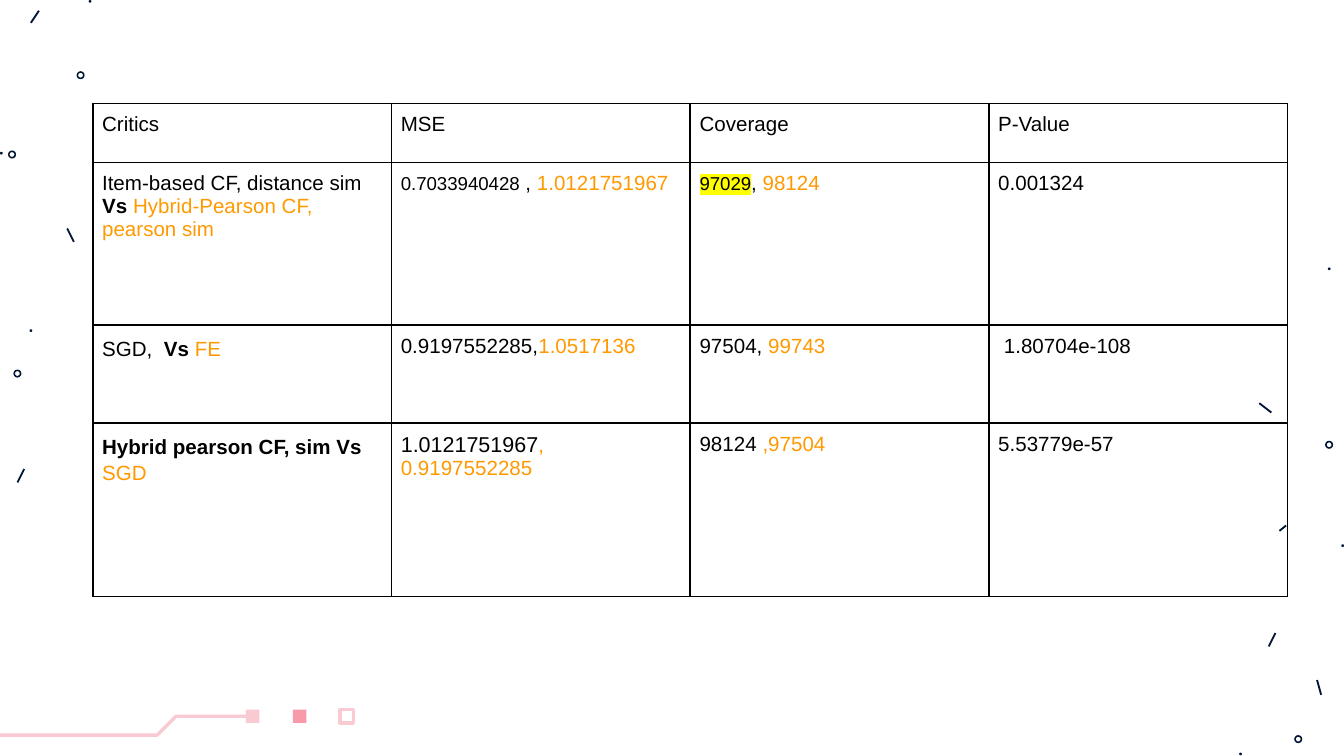
from lxml.etree import SubElement
from pptx import Presentation
from pptx.dml.color import RGBColor
from pptx.enum.shapes import MSO_CONNECTOR, MSO_SHAPE
from pptx.oxml.ns import qn
from pptx.util import Inches, Pt

COLORS = {
    "navy": "011635",
    "blush": "F9CAD2",
    "rose": "F99AAA",
    "black": "000000",
    "orange": "FF9900",
    "yellow": "FFFF00",
    "white": "FFFFFF",
}
FONT = "Arial"
DOT_SIZE = 0.02
RING_SIZE = 0.06

LEFT_MARKS = {
    "strokes": [(0.29, 0.08, 0.23, 0.17), (0.5, 1.7, 0.55, 1.8), (0.18, 3.49, 0.13, 3.59)],
    "rings": [(0.57, 0.53), (0.1, 2.75), (0.06, 1.12)],
    "dots": [(0.22, 2.45), (0.66, 0), (0, 1.13)],
}
RIGHT_MARKS = {
    "strokes": [
        (0.17, 1.01, 0.26, 1.08),
        (0.6, 3.07, 0.63, 3.18),
        (0.29, 2.72, 0.24, 2.82),
        (0.37, 1.92, 0.32, 1.96),
    ],
    "rings": [(0.66, 1.29), (0.43, 3.48)],
    "dots": [(0.78, 2.06), (0.02, 3.61), (0.68, 0)],
}

BOLD = {"bold": True}
ORANGE = {"color": "orange"}
ROWS = [
    [[("Critics", {})], [("MSE", {})], [("Coverage", {})], [("P-Value", {})]],
    [
        [("Item-based CF, distance sim", {}), (" Vs ", BOLD),
         ("Hybrid-Pearson CF, pearson sim", ORANGE)],
        [("0.7033940428", {"size": 10, "highlight": "white"}), (" , ", {}),
         ("1.0121751967", {"color": "orange", "highlight": "white"})],
        [("97029", {"size": 10, "highlight": "yellow"}), (",", {}), (" 98124", ORANGE)],
        [("0.001324", {})],
    ],
    [
        [("SGD,  ", {}), ("Vs ", BOLD), ("FE", ORANGE)],
        [("0.9197552285,", {}), ("1.0517136", ORANGE)],
        [("97504,", {}), (" 99743", ORANGE)],
        [(" 1.80704e-108", {})],
    ],
    [
        [("Hybrid pearson CF, sim Vs", BOLD), (" SGD", ORANGE)],
        [("1.0121751967", {"size": 11.5, "highlight": "white"}), (", 0.9197552285", ORANGE)],
        [("98124", {}), (" ,97504", ORANGE)],
        [("5.53779e-57", {})],
    ],
]
ROW_HEIGHTS = [0.44, 1.21, 0.73, 1.29]
LOOSE_ROWS = (2, 3)


def rgb(name):
    return RGBColor.from_string(COLORS[name])


def add_mark(slide, kind, left, top, size, color):
    shape = slide.shapes.add_shape(kind, Inches(left), Inches(top), Inches(size), Inches(size))
    shape.shadow.inherit = False
    shape.fill.solid()
    shape.fill.fore_color.rgb = rgb(color)
    shape.line.fill.background()
    return shape


def add_scattered_marks(slide, left, top, marks):
    for x1, y1, x2, y2 in marks["strokes"]:
        stroke = slide.shapes.add_connector(
            MSO_CONNECTOR.STRAIGHT,
            Inches(left + x1), Inches(top + y1), Inches(left + x2), Inches(top + y2),
        )
        stroke.line.color.rgb = rgb("navy")
        stroke.line.width = Pt(1)
        SubElement(stroke._element.spPr, qn("a:effectLst"))
    for x, y in marks["rings"]:
        ring = add_mark(slide, MSO_SHAPE.DONUT, left + x, top + y, RING_SIZE, "navy")
        ring.adjustments[0] = 0.2
    for x, y in marks["dots"]:
        add_mark(slide, MSO_SHAPE.OVAL, left + x, top + y, DOT_SIZE, "navy")


def add_circuit_trace(slide, left, top):
    points = [(0, 0.19), (1.17, 0.19), (1.31, 0.05), (1.84, 0.05)]
    corners = [(Inches(left + x), Inches(top + y)) for x, y in points]
    builder = slide.shapes.build_freeform(*corners[0])
    builder.add_line_segments(corners[1:], close=False)
    trace = builder.convert_to_shape()
    trace.shadow.inherit = False
    trace.fill.background()
    trace.line.color.rgb = rgb("blush")
    trace.line.width = Pt(1.8)

    for index, color in enumerate(("blush", "rose", "blush")):
        square = add_mark(slide, MSO_SHAPE.RECTANGLE, left + 1.83 + index * 0.35, top, 0.1, color)
    square.fill.background()
    square.line.color.rgb = rgb("blush")
    square.line.width = Pt(1.8)


def add_run(paragraph, text, size=11, bold=False, color="black", highlight=None):
    run = paragraph.add_run()
    run.text = text
    run.font.size = Pt(size)
    run.font.bold = bold
    run.font.color.rgb = rgb(color)
    if highlight:
        marker = SubElement(run.font._element, qn("a:highlight"))
        SubElement(marker, qn("a:srgbClr"), val=COLORS[highlight])
    run.font.name = FONT


def add_borders(cell):
    properties = cell._tc.get_or_add_tcPr()
    for side in ("lnL", "lnR", "lnT", "lnB"):
        border = SubElement(properties, qn(f"a:{side}"), w=str(Pt(1)))
        fill = SubElement(border, qn("a:solidFill"))
        SubElement(fill, qn("a:srgbClr"), val=COLORS["black"])


def add_results_table(slide, left, top, width):
    frame = slide.shapes.add_table(
        len(ROWS), len(ROWS[0]),
        Inches(left), Inches(top), Inches(width), Inches(sum(ROW_HEIGHTS)),
    )
    table = frame.table
    table.first_row = False
    table.horz_banding = False
    for column in table.columns:
        column.width = Inches(width / len(ROWS[0]))
    for row_index, (height, contents) in enumerate(zip(ROW_HEIGHTS, ROWS)):
        table.rows[row_index].height = Inches(height)
        for column_index, runs in enumerate(contents):
            cell = table.cell(row_index, column_index)
            cell.margin_left = cell.margin_right = Inches(0.07)
            cell.margin_top = cell.margin_bottom = Inches(0.07)
            add_borders(cell)
            cell.fill.background()
            paragraph = cell.text_frame.paragraphs[0]
            if column_index == 0 and row_index in LOOSE_ROWS:
                paragraph.line_spacing = 1.15
            for text, style in runs:
                add_run(paragraph, text, **style)


def main():
    presentation = Presentation()
    presentation.slide_width = Inches(10)
    presentation.slide_height = Inches(10) * 9 // 16
    slide = presentation.slides.add_slide(presentation.slide_layouts[6])
    slide.background.fill.solid()
    slide.background.fill.fore_color.rgb = rgb("white")
    add_scattered_marks(slide, 0, 0, LEFT_MARKS)
    add_scattered_marks(slide, 9.2, 1.99, RIGHT_MARKS)
    add_circuit_trace(slide, 0, 5.28)
    add_results_table(slide, 0.69, 0.77, 8.89)
    presentation.save("out.pptx")


if __name__ == "__main__":
    main()
